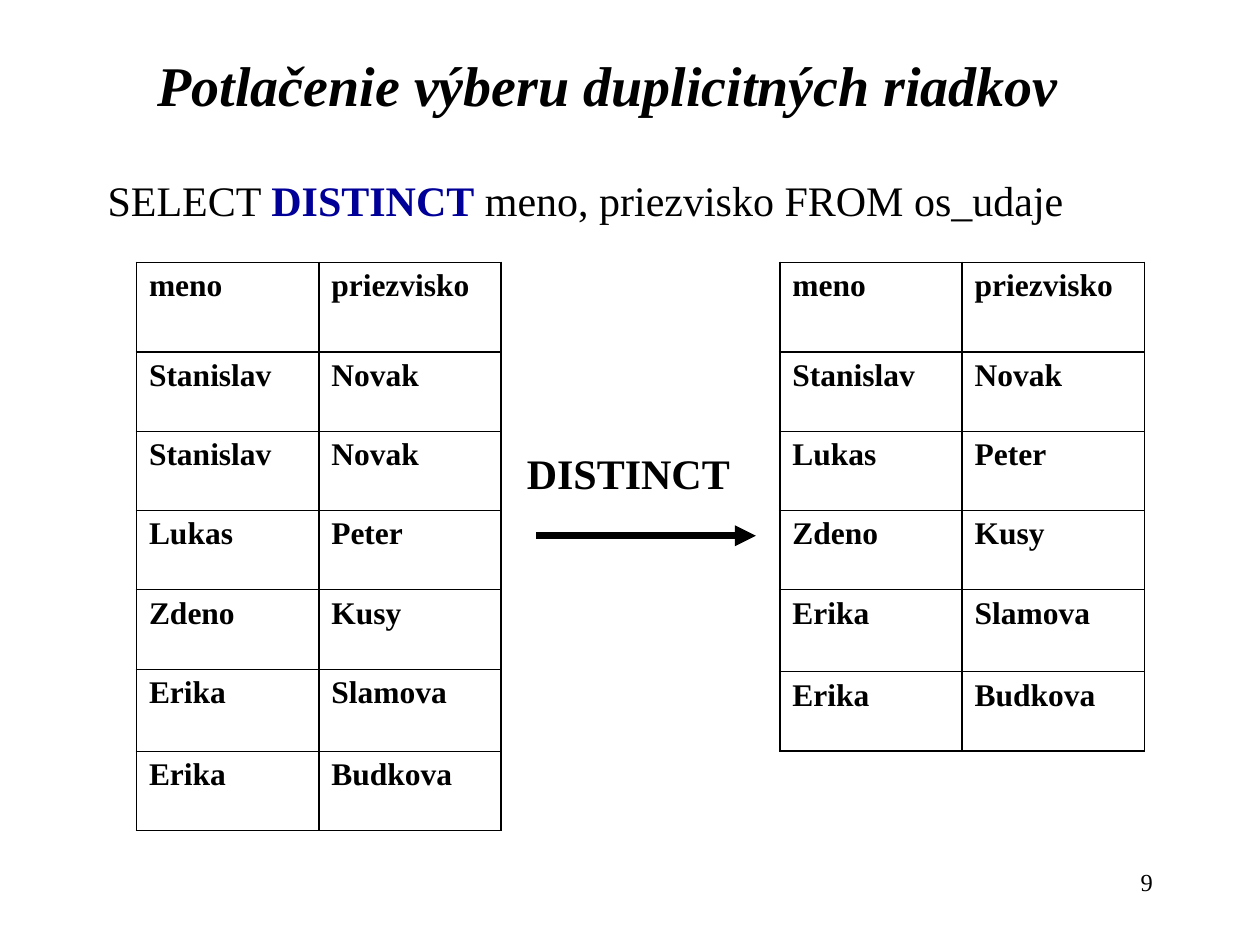
"""Build a slide showing how DISTINCT removes duplicate rows."""
import lxml.etree
import pptx
import pptx.dml.color
import pptx.enum.shapes
import pptx.enum.text
import pptx.oxml.ns
import pptx.util

Cm = pptx.util.Cm
Pt = pptx.util.Pt
qn = pptx.oxml.ns.qn
ALIGN = pptx.enum.text.PP_ALIGN
ANCHOR = pptx.enum.text.MSO_ANCHOR

COLORS = {"ink": "000000", "keyword": "000099", "paper": "FFFFFF"}
FONT = "Times New Roman"
HEADER = ("meno", "priezvisko")
UNIQUE = [("Stanislav", "Novak"), ("Lukas", "Peter"), ("Zdeno", "Kusy"),
          ("Erika", "Slamova"), ("Erika", "Budkova")]
HEADER_HEIGHT, ROW_HEIGHT, SLAMOVA_HEIGHT = 1.8, 1.6, 1.65
THICK, THIN = 1.08, 0.45


def color(name):
    """Return the named colour."""
    return pptx.dml.color.RGBColor.from_string(COLORS[name])


def set_font(font, size, bold=False, italic=False):
    """Apply the slide's typeface to a font."""
    font.name, font.size = FONT, Pt(size)
    font.bold, font.italic = bold, italic
    font.color.rgb = color("ink")


def add_label(page, box, text, size, bold=False, align=ALIGN.LEFT, wrap=True):
    """Add a one-paragraph text box and return it."""
    label = page.shapes.add_textbox(*map(Cm, box))
    label.text_frame.word_wrap = wrap
    para = label.text_frame.paragraphs[0]
    para.text, para.alignment = text, align
    set_font(para.font, size, bold)
    return label


def add_title(page, box, text):
    """Place and format the title placeholder."""
    title = page.shapes.title
    title.left, title.top, title.width, title.height = map(Cm, box)
    frame = title.text_frame
    frame.text, frame.vertical_anchor = text, ANCHOR.MIDDLE
    frame.auto_size = pptx.enum.text.MSO_AUTO_SIZE.NONE
    frame.paragraphs[0].alignment = ALIGN.CENTER
    set_font(frame.paragraphs[0].font, 32, bold=True, italic=True)


def add_query(page, box):
    """Add the SQL statement with its keyword highlighted."""
    label = add_label(page, box, "SELECT ", 24, align=ALIGN.CENTER, wrap=False)
    label.text_frame.vertical_anchor = ANCHOR.MIDDLE
    para = label.text_frame.paragraphs[0]
    keyword = para.add_run()
    keyword.text = "DISTINCT"
    keyword.font.bold = True
    keyword.font.color.rgb = color("keyword")
    para.add_run().text = " meno, priezvisko FROM os_udaje"


def set_border(cell, side, width):
    """Draw one side (L, R, T or B) of a cell."""
    properties = cell._tc.get_or_add_tcPr()
    line = lxml.etree.SubElement(properties, qn("a:ln" + side), w=str(int(Pt(width))))
    fill = lxml.etree.SubElement(line, qn("a:solidFill"))
    lxml.etree.SubElement(fill, qn("a:srgbClr"), val=COLORS["ink"])


def add_names(page, left, top, people):
    """Add a table of first names and surnames."""
    rows = [HEADER, *people]
    heights = [HEADER_HEIGHT] + [
        SLAMOVA_HEIGHT if person[1] == "Slamova" else ROW_HEIGHT for person in people]
    table = page.shapes.add_table(len(rows), 2, Cm(left), Cm(top),
                                  Cm(7.35), Cm(sum(heights))).table
    table.first_row = table.horz_banding = False
    for column in table.columns:
        column.width = Cm(3.675)
    rules = [THICK, THICK] + [THIN] * (len(rows) - 2) + [THICK]
    for i, names in enumerate(rows):
        table.rows[i].height = Cm(heights[i])
        for j, name in enumerate(names):
            cell = table.cell(i, j)
            cell.text = name
            set_font(cell.text_frame.paragraphs[0].font, 18, bold=True)
            for side, width in zip("LRTB", (THICK, THICK, rules[i], rules[i + 1])):
                set_border(cell, side, width)
            cell.fill.background()


def add_step(page, left, top, width):
    """Add the labelled arrow between the two tables."""
    add_label(page, (left, top, width, 1.27), "DISTINCT", 24, bold=True)
    arrow = page.shapes.add_connector(
        pptx.enum.shapes.MSO_CONNECTOR.STRAIGHT,
        Cm(left + 0.44), Cm(top + 1.91), Cm(left + width), Cm(top + 1.91))
    arrow.line.color.rgb = color("ink")
    arrow.line.width = Pt(4)
    lxml.etree.SubElement(arrow.line._get_or_add_ln(), qn("a:tailEnd"), type="triangle")
    lxml.etree.SubElement(arrow._element.spPr, qn("a:effectLst"))


def main():
    """Build and save the deck."""
    deck = pptx.Presentation()
    deck.slide_width, deck.slide_height = Cm(25.4), Cm(19.05)
    page = deck.slides.add_slide(deck.slide_layouts[5])
    page.background.fill.solid()
    page.background.fill.fore_color.rgb = color("paper")
    add_title(page, (1.47, 0.64, 21.59, 2.11), "Potlačenie výberu duplicitných riadkov")
    add_query(page, (1.91, 3.39, 19.79, 1.27))
    add_names(page, 2.75, 5.29, UNIQUE[:1] + UNIQUE)
    add_step(page, 10.37, 8.89, 4.87)
    add_names(page, 15.72, 5.29, UNIQUE)
    add_label(page, (18.2, 17.36, 5.29, 1.27), "9", 14, align=ALIGN.RIGHT)
    deck.save("out.pptx")


if __name__ == "__main__":
    main()
